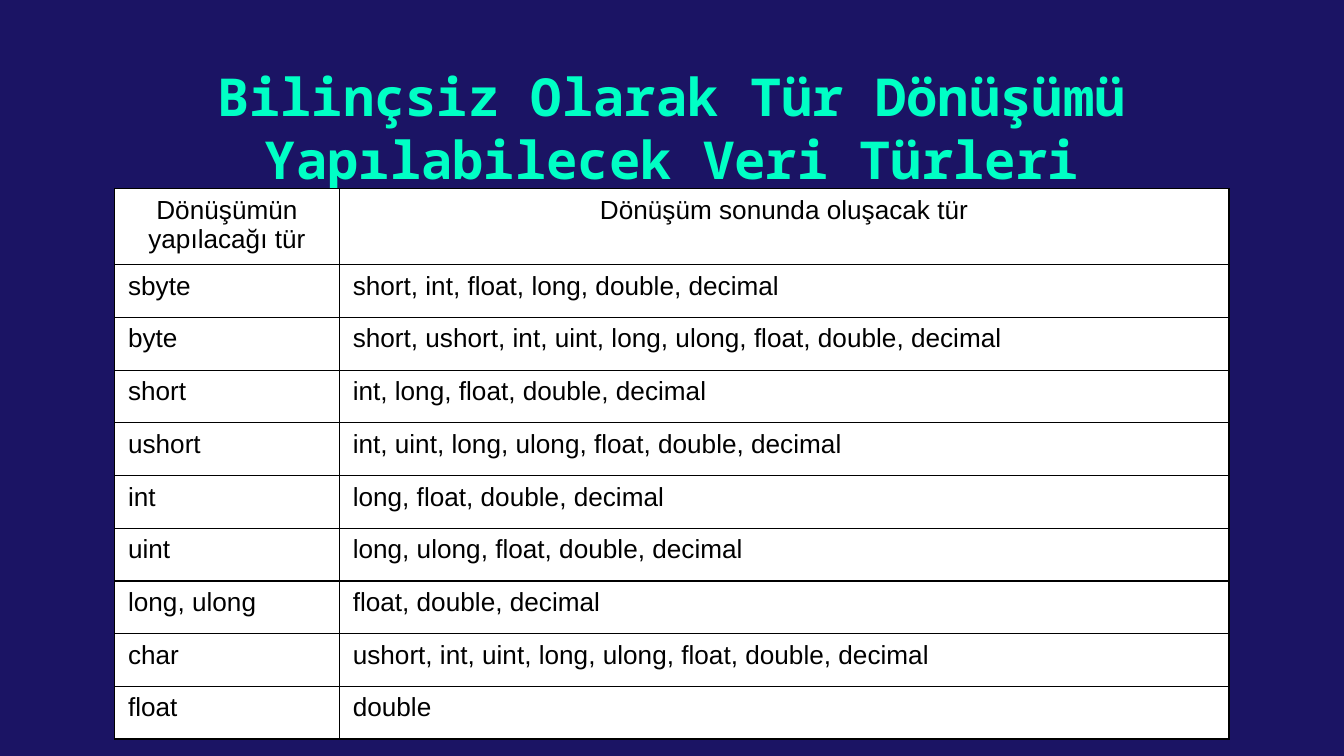
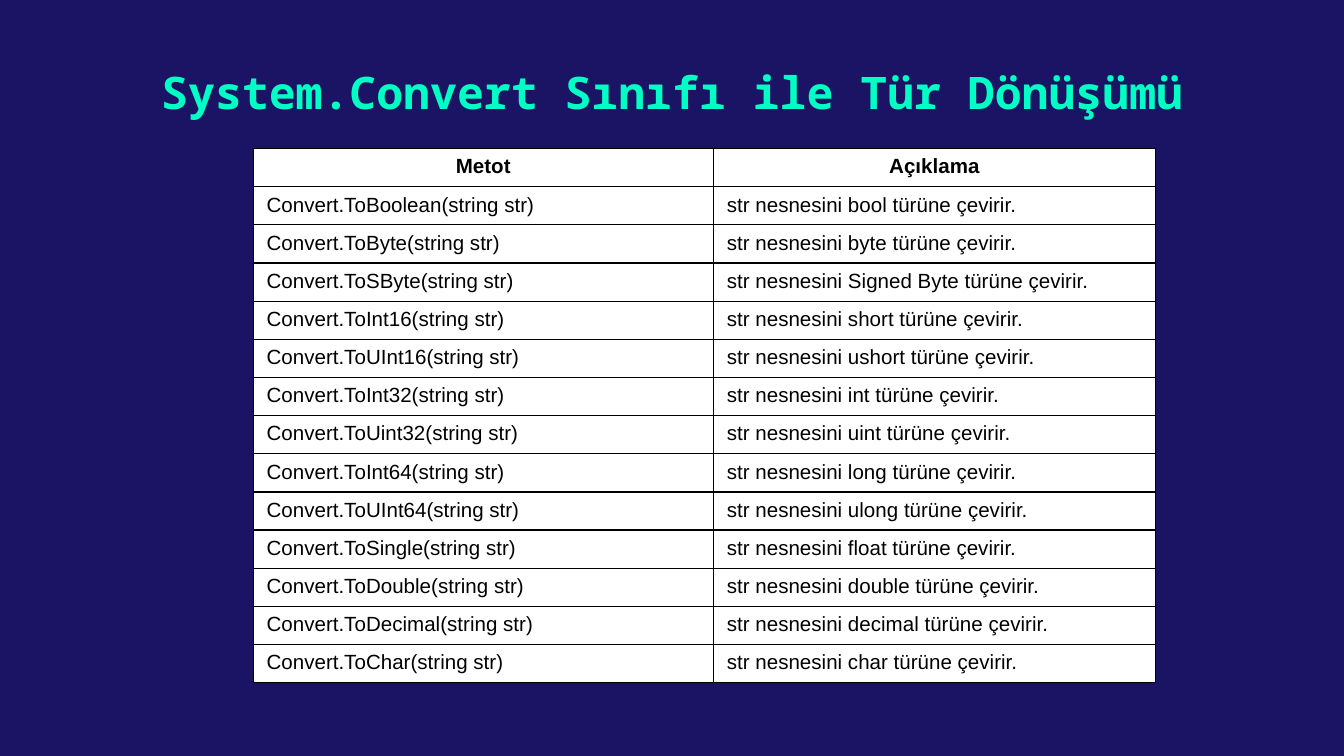
import pptx
import pptx.util
import pptx.dml.color
import pptx.enum.text
import pptx.oxml.ns
import lxml.etree

Pt = pptx.util.Pt
CENTER = pptx.enum.text.PP_ALIGN.CENTER
NAVY, MINT, WHITE, BLACK = "1B1464", "00FFC5", "FFFFFF", "000000"


def tint(fill, color):
    fill.solid()
    fill.fore_color.rgb = pptx.dml.color.RGBColor.from_string(color)


def style(para, name, size, color, bold):
    font = para.font
    font.name, font.size, font.bold = name, Pt(size), bold
    tint(font.fill, color)


# Table texts, header row first
types = [
    ("Dönüşümün yapılacağı tür", "Dönüşüm sonunda oluşacak tür"),
    ("sbyte", "short, int, float, long, double, decimal"),
    ("byte", "short, ushort, int, uint, long, ulong, float, double, decimal"),
    ("short", "int, long, float, double, decimal"),
    ("ushort", "int, uint, long, ulong, float, double, decimal"),
    ("int", "long, float, double, decimal"),
    ("uint", "long, ulong, float, double, decimal"),
    ("long, ulong", "float, double, decimal"),
    ("char", "ushort, int, uint, long, ulong, float, double, decimal"),
    ("float", "double"),
]
pairs = [
    ("Boolean", "bool"), ("Byte", "byte"), ("SByte", "Signed Byte"),
    ("Int16", "short"), ("UInt16", "ushort"), ("Int32", "int"),
    ("Uint32", "uint"), ("Int64", "long"), ("UInt64", "ulong"),
    ("Single", "float"), ("Double", "double"), ("Decimal", "decimal"),
    ("Char", "char"),
]
methods = [("Metot", "Açıklama")] + [
    (f"Convert.To{name}(string str)", f"str nesnesini {kind} türüne çevirir.")
    for name, kind in pairs
]

# Title, its left, width and size; table left, top, columns,
# head and row heights, text size, bold head, rows
pages = [
    ("Bilinçsiz Olarak Tür Dönüşümü Yapılabilecek Veri Türleri", 100.8, 518.4, 28,
     61.4, 101, (120.4, 476.6), 40.2, 28.26, 14, False, types),
    ("System.Convert Sınıfı ile Tür Dönüşümü", 0, 720, 24,
     135.6, 79.6, (246.6, 236.8), 19.86, 19.86, 11, True, methods),
]

deck = pptx.Presentation()
deck.slide_width, deck.slide_height = Pt(720), Pt(405)

for (title, tx, tw, tsize, left, top, cols, head, high, size, bold, rows) in pages:
    slide = deck.slides.add_slide(deck.slide_layouts[6])
    tint(slide.background.fill, NAVY)

    # Title
    box = slide.shapes.add_textbox(Pt(tx), Pt(27.4), Pt(tw), Pt(52.6))
    frame = box.text_frame
    frame.word_wrap = True
    frame.margin_left = frame.margin_right = Pt(7.2)
    frame.margin_top = frame.margin_bottom = Pt(7.2)
    para = frame.paragraphs[0]
    para.text, para.alignment = title, CENTER
    style(para, "Noto Sans Mono", tsize, MINT, True)

    # Table grid
    tall = head + high * (len(rows) - 1)
    table = slide.shapes.add_table(len(rows), len(cols), Pt(left), Pt(top),
                                   Pt(sum(cols)), Pt(tall)).table
    table.first_row = table.horz_banding = False
    for col, wide in zip(table.columns, cols):
        col.width = Pt(wide)

    # Table cells
    for r, row in enumerate(rows):
        table.rows[r].height = Pt(high if r else head)
        for c, text in enumerate(row):
            cell = table.cell(r, c)
            para = cell.text_frame.paragraphs[0]
            para.text = text
            if r == 0:
                para.alignment = CENTER
            style(para, "Arial", size, BLACK, bold and r == 0)

            # Borders come before the fill in the cell properties
            props = cell._tc.get_or_add_tcPr()
            for side in ("a:lnL", "a:lnR", "a:lnT", "a:lnB"):
                line = lxml.etree.SubElement(props, pptx.oxml.ns.qn(side), w=str(Pt(0.75)))
                solid = lxml.etree.SubElement(line, pptx.oxml.ns.qn("a:solidFill"))
                lxml.etree.SubElement(solid, pptx.oxml.ns.qn("a:srgbClr"), val=BLACK)
            tint(cell.fill, WHITE)

deck.save("out.pptx")
